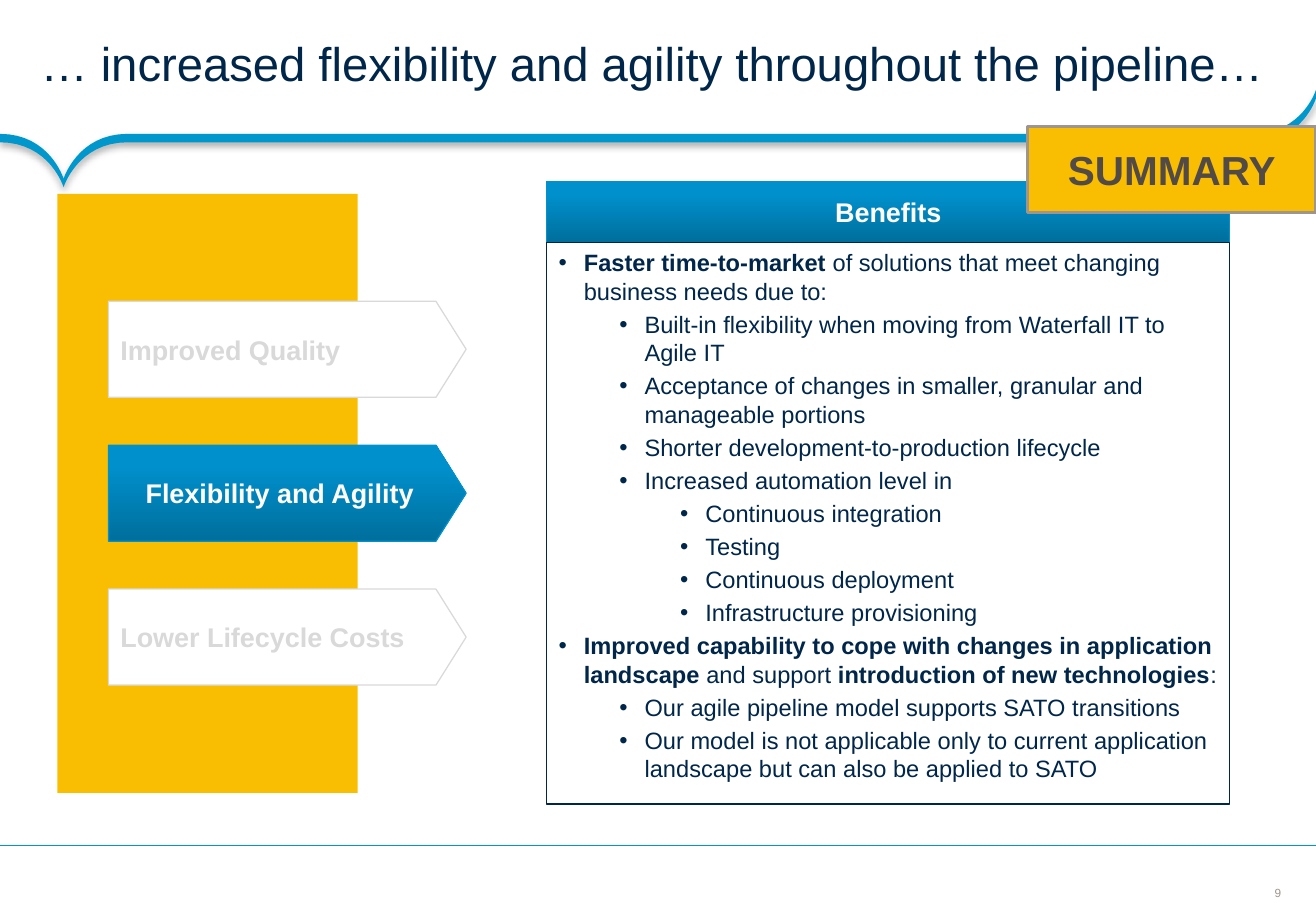
from lxml import etree
from pptx import Presentation
from pptx.dml.color import RGBColor
from pptx.enum.shapes import MSO_CONNECTOR, MSO_SHAPE
from pptx.enum.text import MSO_ANCHOR, PP_ALIGN
from pptx.oxml import parse_xml
from pptx.oxml.ns import qn
from pptx.util import Pt

RECT, ARROW = MSO_SHAPE.RECTANGLE, MSO_SHAPE.PENTAGON
LEFT, CENTER = PP_ALIGN.LEFT, PP_ALIGN.CENTER
TOP, MIDDLE = MSO_ANCHOR.TOP, MSO_ANCHOR.MIDDLE
STRAIGHT = MSO_CONNECTOR.STRAIGHT

COLORS = {
    "navy": "00264A", "blue": "0098CC", "edge": "0092CE", "deep": "006F9D",
    "bright": "0090CC", "yellow": "F9BE01", "white": "FFFFFF",
    "pale": "D9D9D9", "grey": "9F958F", "dark": "514A46",
}
WIDTH, HEIGHT = 780, 540
TITLE = "… increased flexibility and agility throughout the pipeline…"
PAGE = "9"
TAG = "SUMMARY"
THEMES = [("Improved Quality", False), ("Flexibility and Agility", True),
          ("Lower Lifecycle Costs", False)]
HEADING = "Benefits"
BENEFITS = [
    (0, [("Faster time-to-market ", True),
         ("of solutions that meet changing business needs due to:", False)]),
    (1, [("Built-in flexibility when moving from Waterfall IT to Agile IT", False)]),
    (1, [("Acceptance of changes in smaller, granular and manageable portions", False)]),
    (1, [("Shorter development-to-production lifecycle", False)]),
    (1, [("Increased automation level in", False)]),
    (2, [("Continuous integration", False)]),
    (2, [("Testing", False)]),
    (2, [("Continuous deployment", False)]),
    (2, [("Infrastructure provisioning", False)]),
    (0, [("Improved capability to cope with changes in application landscape", True),
         (" and support ", False), ("introduction of new technologies", True),
         (":", False)]),
    (1, [("Our agile pipeline model supports SATO transitions", False)]),
    (1, [("Our model is not applicable only to current application landscape "
          "but can also be applied to SATO", False)]),
]
BAND_CURVES = [
    [(0, 79.4), (29.5, 79.4), (37.7, 106), (37.7, 106)],
    [(37.7, 106), (37.7, 106), (46, 79.4), (75.5, 79.4)],
    [(742, 79.4), (772, 79.4), (780, 53.3), (780, 53.3)],
]
BAND_THICKNESS, CURVE_STEPS = 5, 16
BAND_SHADOW = (
    '<a:effectLst xmlns:a="http://schemas.openxmlformats.org/drawingml/2006/main">'
    '<a:outerShdw blurRad="50800" dist="25400" dir="5400000" rotWithShape="0">'
    '<a:srgbClr val="000000"><a:alpha val="31000"/></a:srgbClr>'
    '</a:outerShdw></a:effectLst>')


def rgb(name):
    return RGBColor.from_string(COLORS[name])


def paint(sp, fill, line=None, weight=0.75):
    sp.shadow.inherit = False
    if fill == "gradient":
        sp.fill.gradient()
        sp.fill.gradient_angle = 90
        for stop, place, color in zip(sp.fill.gradient_stops, (0, 0.8), ("deep", "bright")):
            stop.position = place
            stop.color.rgb = rgb(color)
    else:
        sp.fill.solid()
        sp.fill.fore_color.rgb = rgb(fill)
    if line:
        sp.line.color.rgb = rgb(line)
        sp.line.width = Pt(weight)
    else:
        sp.line.fill.background()


def add_box(shapes, kind, box, *style):
    sp = shapes.add_shape(kind, *map(Pt, box))
    paint(sp, *style)
    return sp


def set_frame(sp, anchor=MIDDLE, insets=(7.2, 3.6, 7.2, 3.6), wrap=True):
    tf = sp.text_frame
    left, top, right, bottom = map(Pt, insets)
    values = {"margin_left": left, "margin_top": top, "margin_right": right,
              "margin_bottom": bottom, "vertical_anchor": anchor, "word_wrap": wrap}
    for name, value in values.items():
        setattr(tf, name, value)
    return tf


def add_run(p, text, size, color, bold=False):
    r = p.add_run()
    r.text = text
    for name, value in {"name": "Arial", "size": Pt(size), "bold": bold}.items():
        setattr(r.font, name, value)
    r.font.color.rgb = rgb(color)


def write(sp, text, size, color, bold=False, align=CENTER, **frame):
    p = set_frame(sp, **frame).paragraphs[0]
    p.alignment = align
    add_run(p, text, size, color, bold)
    return p


def bezier(a, b, c, d):
    for i in range(CURVE_STEPS + 1):
        t = i / CURVE_STEPS
        weights = ((1 - t) ** 3, 3 * t * (1 - t) ** 2, 3 * t * t * (1 - t), t ** 3)
        yield tuple(sum(w * q[axis] for w, q in zip(weights, (a, b, c, d)))
                    for axis in (0, 1))


def add_band(shapes):
    upper = [q for curve in BAND_CURVES for q in bezier(*curve)]
    lower = [(x, y + BAND_THICKNESS) for x, y in reversed(upper)]
    outline = [(Pt(x), Pt(y)) for x, y in upper + lower]
    builder = shapes.build_freeform(*outline[0])
    builder.add_line_segments(outline[1:], close=True)
    sp = builder.convert_to_shape()
    paint(sp, "blue")
    spPr = sp._element.spPr
    spPr.replace(spPr.find(qn("a:effectLst")), parse_xml(BAND_SHADOW))


def add_rule(shapes, y):
    sp = shapes.add_connector(STRAIGHT, Pt(WIDTH), Pt(y), 0, Pt(y))
    sp.line.color.rgb = rgb("blue")
    sp.line.width = Pt(0.75)
    etree.SubElement(sp._element.spPr, qn("a:effectLst"))


def add_themes(shapes):
    add_box(shapes, RECT, (34, 115, 178, 355), "yellow")
    for i, (text, active) in enumerate(THEMES):
        style = ("gradient", "edge") if active else ("white", "pale")
        sp = add_box(shapes, ARROW, (64.3, 178.6 + 85.3 * i, 212, 56.9), *style)
        sp.adjustments[0] = 0.314
        write(sp, text, 16, "white" if active else "pale", True,
              CENTER if active else LEFT)


def add_benefits(shapes):
    head = add_box(shapes, RECT, (324, 107.7, 405, 36), "gradient", "edge")
    write(head, HEADING, 16, "white", True)
    body = add_box(shapes, RECT, (324, 143.7, 405, 333), "white", "navy")
    tf = set_frame(body, TOP)
    for i, (depth, runs) in enumerate(BENEFITS):
        p = tf.add_paragraph() if i else tf.paragraphs[0]
        for name, value in {"level": depth + 1, "alignment": LEFT,
                            "space_before": Pt(2.8)}.items():
            setattr(p, name, value)
        pPr = p._p.get_or_add_pPr()
        pPr.set("marL", str(Pt(15 + 36 * depth)))
        pPr.set("indent", str(-Pt(15)))
        etree.SubElement(pPr, qn("a:buFont")).set("typeface", "Arial")
        etree.SubElement(pPr, qn("a:buChar")).set("char", "•")
        for text, bold in runs:
            add_run(p, text, 14, "navy", bold)


def main():
    """Build the benefits summary slide."""
    prs = Presentation()
    prs.slide_width, prs.slide_height = Pt(WIDTH), Pt(HEIGHT)
    shapes = prs.slides.add_slide(prs.slide_layouts[6]).shapes
    page = shapes.add_textbox(*map(Pt, (753, 525, 9, 8.5)))
    write(page, PAGE, 7, "grey", insets=(0, 0, 0, 0), wrap=False)
    add_band(shapes)
    add_rule(shapes, 501)
    title = shapes.add_textbox(0, 0, Pt(WIDTH), Pt(79.2))
    p = write(title, TITLE, 28, "navy", align=LEFT, insets=(24, 3, 13, 3))
    p.line_spacing = 0.85
    add_themes(shapes)
    add_benefits(shapes)
    tag = add_box(shapes, RECT, (609, 75, 171, 51), "yellow", "grey", 2)
    write(tag, TAG, 24, "dark", True)
    prs.save("out.pptx")


if __name__ == "__main__":
    main()
